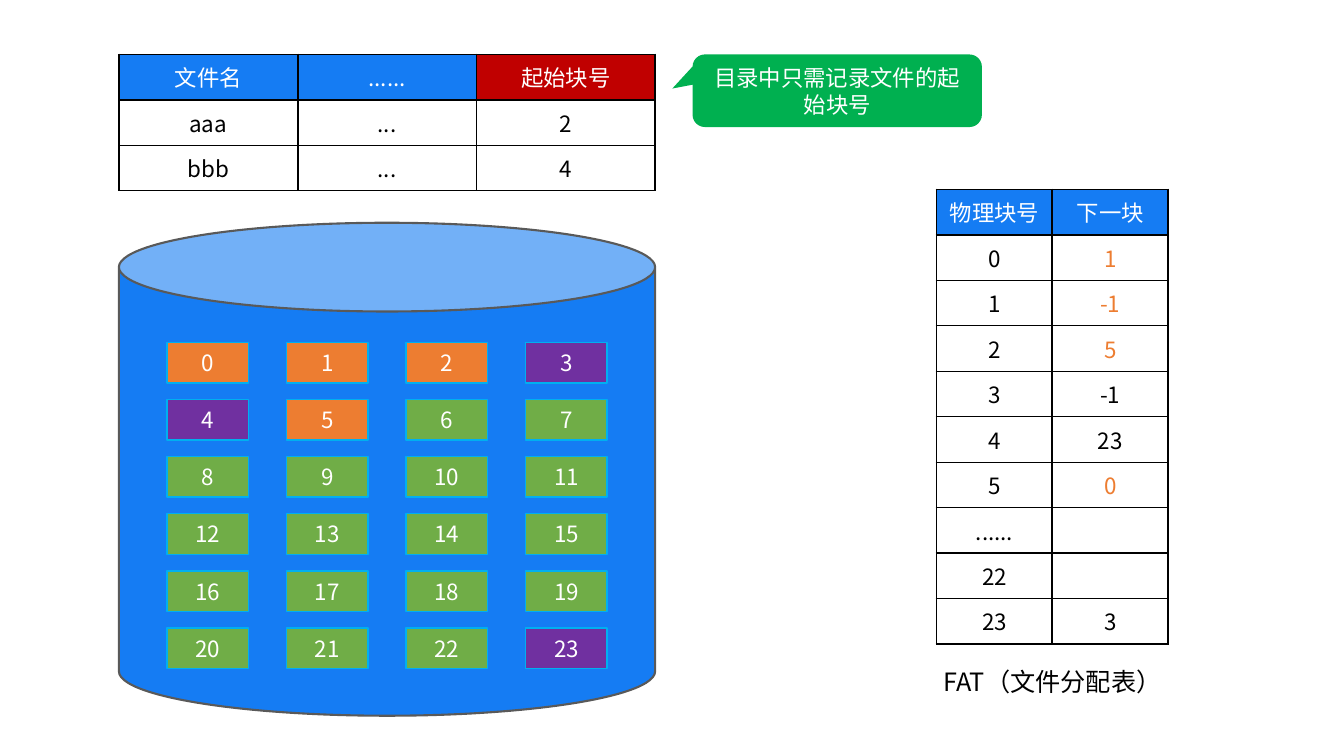
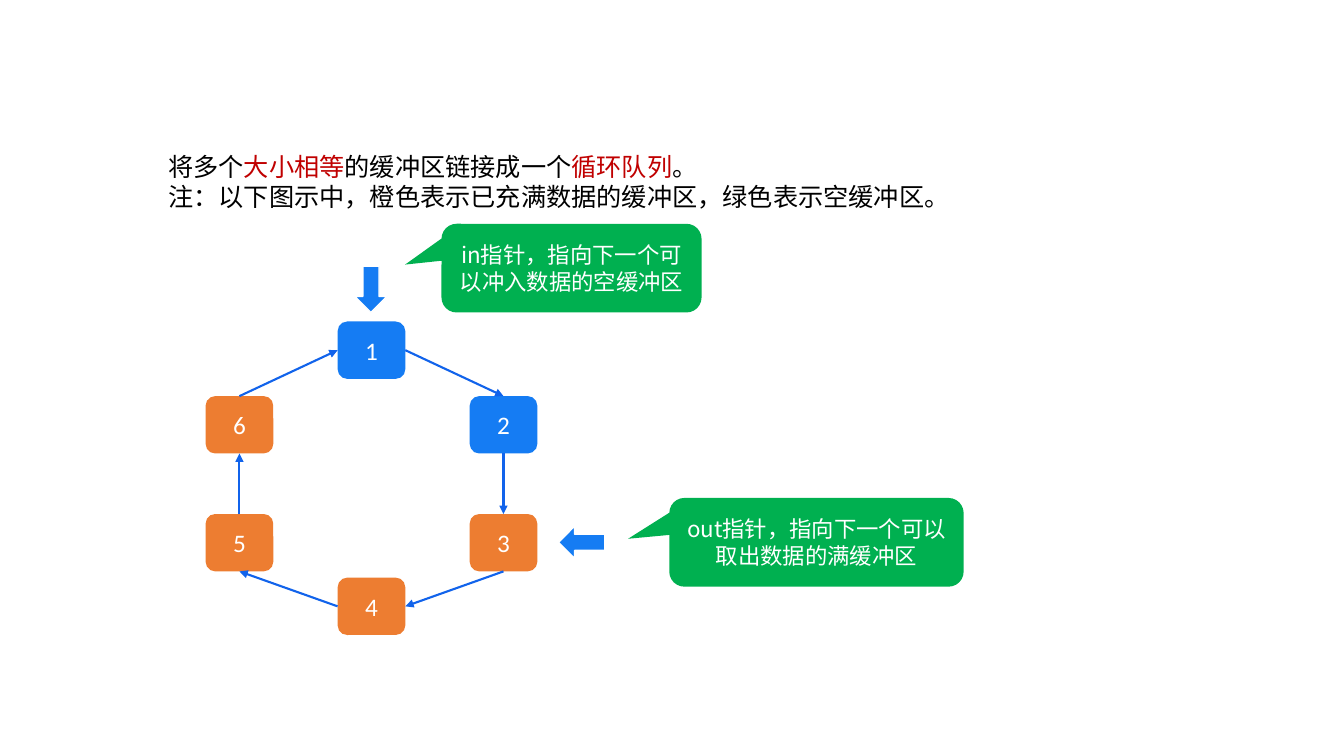
from lxml import etree
from pptx import Presentation, util as u
from pptx.dml.color import RGBColor
from pptx.enum import shapes, text
from pptx.oxml.ns import qn

WIDE, HIGH = u.Inches(13.333), u.Inches(7.5)
SANS = "Noto Sans CJK SC"
BLUE, GREEN, ORANGE, PURPLE = "157CF3", "70AD47", "ED7D31", "7030A0"
RED, NOTE, BLACK, WHITE = "C00000", "00B050", "000000", "FFFFFF"
KIND = shapes.MSO_SHAPE
MID = text.PP_ALIGN.CENTER


def rgb(code):
    return RGBColor.from_string(code)


def area(x, y, w, h):
    """Box from percentages of the slide."""
    return part((0, 0, WIDE, HIGH), x, y, w, h)


def part(box, x, y, w, h):
    """Box from percentages of another box."""
    left, top, wide, high = box
    return (round(left + wide * x / 100), round(top + high * y / 100),
            round(wide * w / 100), round(high * h / 100))


def write(frame, lines, size=16, color=WHITE, font=SANS, align=MID):
    """Each line is a string or a list of (string, colour) pairs."""
    frame.word_wrap = True
    for i, line in enumerate(lines):
        para = frame.paragraphs[0] if i == 0 else frame.add_paragraph()
        para.alignment = align
        for words, tint in [(line, color)] if isinstance(line, str) else line:
            run = para.add_run()
            run.text = words
            run.font.size = u.Pt(size)
            run.font.name = font
            run.font.color.rgb = rgb(tint)
            east = etree.SubElement(run._r.get_or_add_rPr(), qn("a:ea"))
            east.set("typeface", font)


def label(slide, box, lines, **style):
    frame = slide.shapes.add_textbox(*box).text_frame
    write(frame, lines, size=18, color=BLACK, **style)
    frame.auto_size = text.MSO_AUTO_SIZE.SHAPE_TO_FIT_TEXT


def draw(slide, kind, box, fill, words="", line=None, width=1, adjust=(), **style):
    shape = slide.shapes.add_shape(kind, *box)
    shape.shadow.inherit = False
    shape.fill.solid()
    shape.fill.fore_color.rgb = rgb(fill)
    if line:
        shape.line.color.rgb = rgb(line)
        shape.line.width = u.Pt(width)
    else:
        shape.line.fill.background()
    for i, value in enumerate(adjust):
        shape.adjustments[i] = value
    if words:
        shape.text_frame.vertical_anchor = text.MSO_ANCHOR.MIDDLE
        write(shape.text_frame, [words], **style)
    return shape


def callout(slide, box, words, tip):
    draw(slide, KIND.ROUNDED_RECTANGULAR_CALLOUT, box, NOTE, words,
         adjust=(*tip, 0.17))


def edge(cell, **widths):
    """Black cell borders, widths in points, in the order L, R, T, B."""
    props = cell._tc.get_or_add_tcPr()
    for side, width in widths.items():
        line = etree.SubElement(props, qn("a:ln" + side), w=str(u.Pt(width)))
        fill = etree.SubElement(line, qn("a:solidFill"))
        etree.SubElement(fill, qn("a:srgbClr"), val=BLACK)


def table(slide, box, rows, heads, tints=None):
    """heads: header fills; tints: text colours by (row, column)."""
    grid = slide.shapes.add_table(len(rows), len(heads), *box).table
    grid.first_row = grid.horz_banding = False
    for i, row in enumerate(rows):
        for j, words in enumerate(row):
            cell = grid.cell(i, j)
            edge(cell, L=1.5, R=1.5, T=1 if i else 1.5, B=1)
            cell.fill.solid()
            cell.fill.fore_color.rgb = rgb(WHITE if i else heads[j])
            cell.vertical_anchor = text.MSO_ANCHOR.MIDDLE
            if words:
                base = BLACK if i else WHITE
                write(cell.text_frame, [words],
                      color=(tints or {}).get((i, j), base))


def disk(slide, box, files, cols=4, rows=6):
    """Cylinder of numbered blocks; files maps a colour to its blocks."""
    draw(slide, KIND.CAN, box, BLUE, line="595959", width=1.5, adjust=(0.18,))
    inner = part(box, 5.4, 22.6, 89.2, 69.5)
    owner = {n: tint for tint, blocks in files.items() for n in blocks}
    for n in range(cols * rows):
        row, col = divmod(n, cols)
        cell = part(inner, col * 100 / cols, row * 100 / rows,
                    100 / cols, 100 / rows)
        draw(slide, KIND.RECTANGLE, part(cell, 16, 14.5, 68, 71),
             owner.get(n, GREEN), str(n), line="00B0F0")


def link(slide, start, out, end, into):
    """Arrow between connection sites: 0 top, 1 left, 2 bottom, 3 right."""
    line = slide.shapes.add_connector(shapes.MSO_CONNECTOR.STRAIGHT, 0, 0, 0, 0)
    line.begin_connect(start, out)
    line.end_connect(end, into)
    line.line.color.rgb = rgb("1163EB")
    line.line.width = u.Pt(1.5)
    etree.SubElement(line.line._get_or_add_ln(), qn("a:tailEnd"), type="triangle")
    etree.SubElement(line._element.spPr, qn("a:effectLst"))


def ring(slide, box, empty):
    """Circular queue of six buffers, clockwise from the top."""
    spots = [(39.8, 0), (79.6, 23.8), (79.6, 61.4),
             (39.8, 81.7), (0, 61.4), (0, 23.8)]
    nodes = [draw(slide, KIND.ROUNDED_RECTANGLE, part(box, x, y, 20.4, 18.3),
                  BLUE if n in empty else ORANGE, str(n), size=18, font="Calibri")
             for n, (x, y) in enumerate(spots, 1)]
    sites = [(3, 0), (2, 0), (2, 3), (1, 2), (0, 2), (0, 1)]
    for i, (out, into) in enumerate(sites):
        link(slide, nodes[i], out, nodes[(i + 1) % len(nodes)], into)


def pointer(slide, x, y, turn):
    arrow = draw(slide, KIND.UP_ARROW, area(x, y, 2.4, 6.13), BLUE, line=WHITE)
    arrow.rotation = turn


def fat(slide):
    table(slide, area(8.85, 7.2, 39.9, 18.06),
          [("文件名", "......", "起始块号"), ("aaa", "...", "2"), ("bbb", "...", "4")],
          (BLUE, BLUE, RED))
    callout(slide, area(51.53, 7.2, 21.53, 9.6),
            "目录中只需记录文件的起始块号", (-0.57, -0.03))
    table(slide, area(69.68, 25.07, 17.25, 60.13),
          [("物理块号", "下一块"), ("0", "1"), ("1", "-1"), ("2", "5"), ("3", "-1"),
           ("4", "23"), ("5", "0"), ("......", ""), ("22", ""), ("23", "3")],
          (BLUE, BLUE), {(i, 1): ORANGE for i in (1, 2, 3, 6)})
    label(slide, area(67.88, 87.47, 20.85, 5.33), ["FAT（文件分配表）"])
    disk(slide, area(8.85, 29.47, 39.9, 65.2),
         {ORANGE: (0, 1, 2, 5), PURPLE: (3, 4, 23)})


def buffers(slide):
    label(slide, area(11.78, 19.33, 71.78, 9.47),
          [[("将多个", BLACK), ("大小相等", RED), ("的缓冲区链接成一个", BLACK),
            ("循环队列", RED), ("。", BLACK)],
           "注：以下图示中，橙色表示已充满数据的缓冲区，绿色表示空缓冲区。"],
          align=text.PP_ALIGN.LEFT)
    ring(slide, area(15.3, 42.53, 24.68, 41.47), empty=(1, 2))
    pointer(slide, 26.4, 35.2, 180)
    pointer(slide, 42.08, 68.67, 270)
    tip = (-0.64, -0.04)
    callout(slide, area(32.85, 29.6, 19.35, 11.73),
            "in指针，指向下一个可以冲入数据的空缓冲区", tip)
    callout(slide, area(49.8, 65.87, 21.9, 11.73),
            "out指针，指向下一个可以取出数据的满缓冲区", tip)


def main():
    deck = Presentation()
    deck.slide_width, deck.slide_height = WIDE, HIGH
    for build in (fat, buffers):
        build(deck.slides.add_slide(deck.slide_layouts[6]))
    deck.save("out.pptx")


if __name__ == "__main__":
    main()
